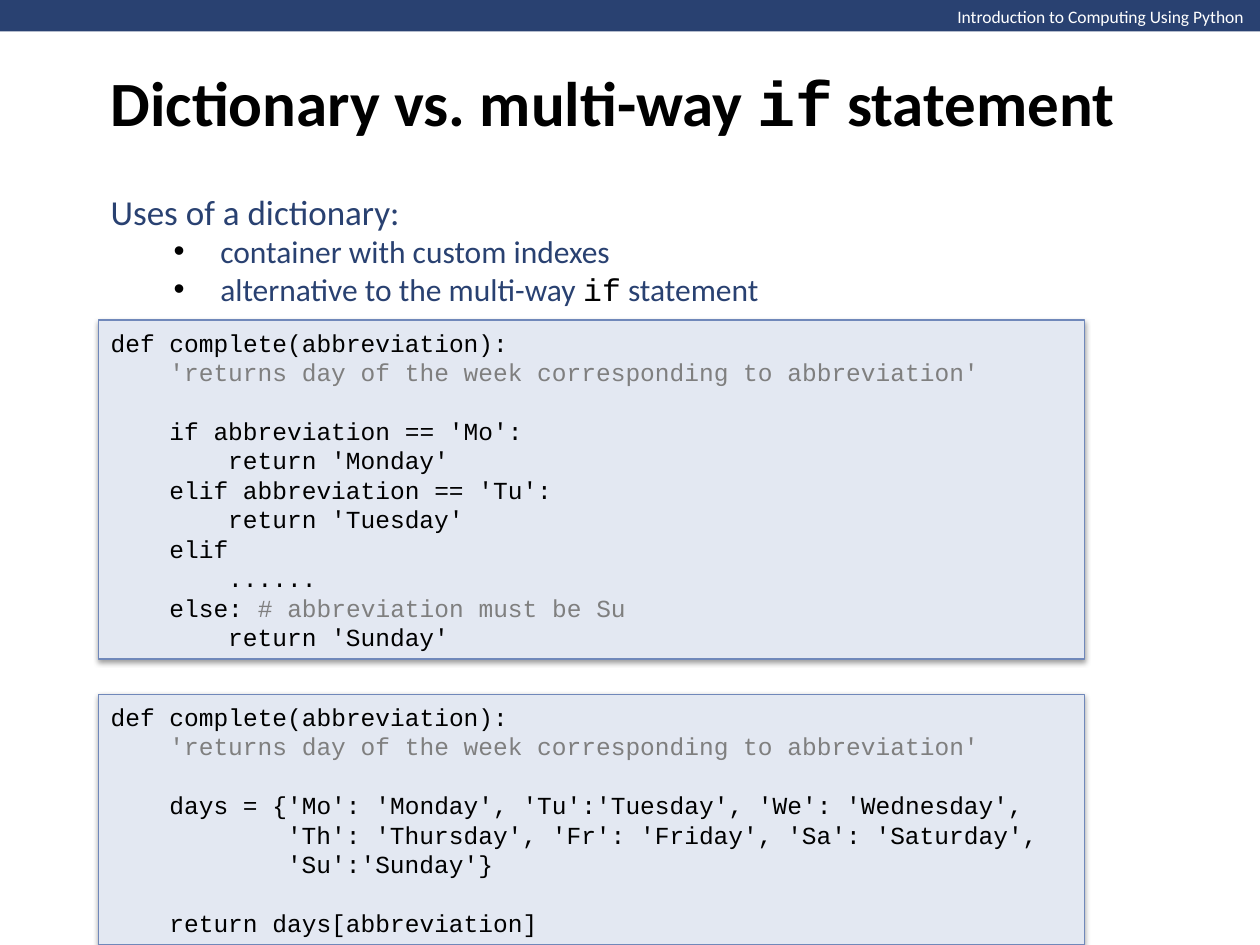
from lxml.etree import SubElement
from pptx import Presentation
from pptx.dml.color import RGBColor
from pptx.enum.shapes import MSO_SHAPE
from pptx.enum.text import MSO_ANCHOR
from pptx.oxml import parse_xml
from pptx.oxml.ns import nsdecls, qn
from pptx.util import Inches, Pt

COLORS = {"navy": "294171", "white": "FFFFFF", "black": "000000",
          "panel": "E3E8F2", "edge": "7088BA", "gray": "7F7F7F"}
SANS, MONO = "Calibri", "Courier New"
CHAR, LINE = 8.4, 16.8  # advance and line pitch of 14 pt code, in points

IF_CODE = """def complete(abbreviation):
    'returns day of the week corresponding to abbreviation'

    if abbreviation == 'Mo':
        return 'Monday'
    elif abbreviation == 'Tu':
        return 'Tuesday'
    elif
        ......
    else: # abbreviation must be Su
        return 'Sunday'"""
DICT_CODE = """def complete(abbreviation):
    'returns day of the week corresponding to abbreviation'

    days = {'Mo': 'Monday', 'Tu':'Tuesday', 'We': 'Wednesday',
            'Th': 'Thursday', 'Fr': 'Friday', 'Sa': 'Saturday',
            'Su':'Sunday'}

    return days[abbreviation]"""


def color(name):
    """Return a named colour."""
    return RGBColor.from_string(COLORS[name])


def style(font, face, size, tint, bold=None):
    """Set the face, size and colour of a font."""
    font.name, font.size, font.bold = face, Pt(size), bold
    font.color.rgb = color(tint)


def add_rect(slide, box, fill, edge=None):
    """Add a flat rectangle with an optional thin edge."""
    rect = slide.shapes.add_shape(MSO_SHAPE.RECTANGLE, *map(Inches, box))
    rect.shadow.inherit = False
    rect.fill.solid()
    rect.fill.fore_color.rgb = color(fill)
    if edge:
        rect.line.color.rgb = color(edge)
        rect.line.width = Pt(0.75)
    else:
        rect.line.fill.background()
    return rect


def add_text(slide, box, anchor=MSO_ANCHOR.TOP, wrap=True):
    """Add a text box and return its frame."""
    frame = slide.shapes.add_textbox(*map(Inches, box)).text_frame
    frame.word_wrap, frame.vertical_anchor = wrap, anchor
    return frame


def add_runs(para, runs, size, bold=None):
    """Fill a paragraph with (text, face, colour) runs."""
    for text, face, tint in runs:
        run = para.add_run()
        run.text = text
        style(run.font, face, size, tint, bold)


def indent(para, left, first=0):
    """Set the left margin and first line indent of a paragraph."""
    props = para._p.get_or_add_pPr()
    props.set("marL", str(int(left)))
    props.set("indent", str(int(first)))
    return props


def add_bar(slide, box):
    """Draw the top bar with the course name at its right end."""
    left, top, width, height = box
    add_rect(slide, box, "navy")
    frame = add_text(slide, (left + width - 2.5, top, 2.5, height + 0.02),
                     wrap=False)
    para = frame.paragraphs[0]
    para.text = "Introduction to Computing Using Python"
    style(para.font, SANS, 10, "white")


def add_title(slide, box):
    """Write the slide title."""
    frame = add_text(slide, box, MSO_ANCHOR.MIDDLE)
    add_runs(frame.paragraphs[0],
             [("Dictionary vs. multi-way ", SANS, "black"),
              ("if", MONO, "black"), (" statement", SANS, "black")], 36, True)


def add_uses(slide, box):
    """Write the lead line and its bullets."""
    frame = add_text(slide, box, wrap=False)
    add_runs(frame.paragraphs[0],
             [("Uses of a dictionary:", SANS, "navy")], 20)
    items = [[("container with custom indexes", SANS, "navy")],
             [("alternative to the multi-way ", SANS, "navy"),
              ("if", MONO, "black"), (" statement", SANS, "navy")]]
    for runs in items:
        para = frame.add_paragraph()
        para.level = 1
        add_runs(para, runs, 18)
        props = indent(para, Inches(0.87), Inches(-0.37))
        tint = SubElement(props, qn("a:buClr"))
        SubElement(tint, qn("a:srgbClr")).set("val", COLORS["black"])
        SubElement(props, qn("a:buFont")).set("typeface", "Arial")
        SubElement(props, qn("a:buChar")).set("char", "•")


def add_shadow(shape):
    """Give a shape a soft shadow below it."""
    effects = shape._element.spPr.find(qn("a:effectLst"))
    effects.append(parse_xml(
        f'<a:outerShdw {nsdecls("a")} blurRad="40000" dist="20000" '
        f'dir="5400000" rotWithShape="0"><a:srgbClr val="{COLORS["black"]}">'
        '<a:alpha val="38000"/></a:srgbClr></a:outerShdw>'))


def add_code(slide, box, code):
    """Draw a code panel; docstrings and comments are gray."""
    panel = add_rect(slide, box, "panel", "edge")
    add_shadow(panel)
    frame = panel.text_frame
    frame.word_wrap, frame.vertical_anchor = True, MSO_ANCHOR.MIDDLE
    para, gap = frame.paragraphs[0], 0
    for count, line in enumerate(code.splitlines()):
        text = line.lstrip()
        if not text:
            gap = LINE
            continue
        if count:
            para = frame.add_paragraph()
        para.line_spacing, para.space_before = Pt(LINE), Pt(gap)
        gap = 0
        indent(para, Pt(CHAR * (len(line) - len(text)))).set("algn", "l")
        head, mark, note = text.partition("#")
        tint = "gray" if text.startswith("'returns") else "black"
        runs = [(head, MONO, tint)]
        if mark:
            runs.append((mark + note, MONO, "gray"))
        add_runs(para, runs, 14)


def main():
    """Build and save the slide."""
    deck = Presentation()
    deck.slide_width, deck.slide_height = Inches(10), Inches(7.5)
    slide = deck.slides.add_slide(deck.slide_layouts[6])
    left, width = 0.78, 7.83
    add_bar(slide, (0, 0, 10, 0.25))
    add_title(slide, (left, 0, 8.5, 1.61))
    add_uses(slide, (left, 1.46, 5.43, 1.05))
    add_code(slide, (left, 2.54, width, 2.69), IF_CODE)
    add_code(slide, (left, 5.51, width, 1.99), DICT_CODE)
    deck.save("out.pptx")


main()
